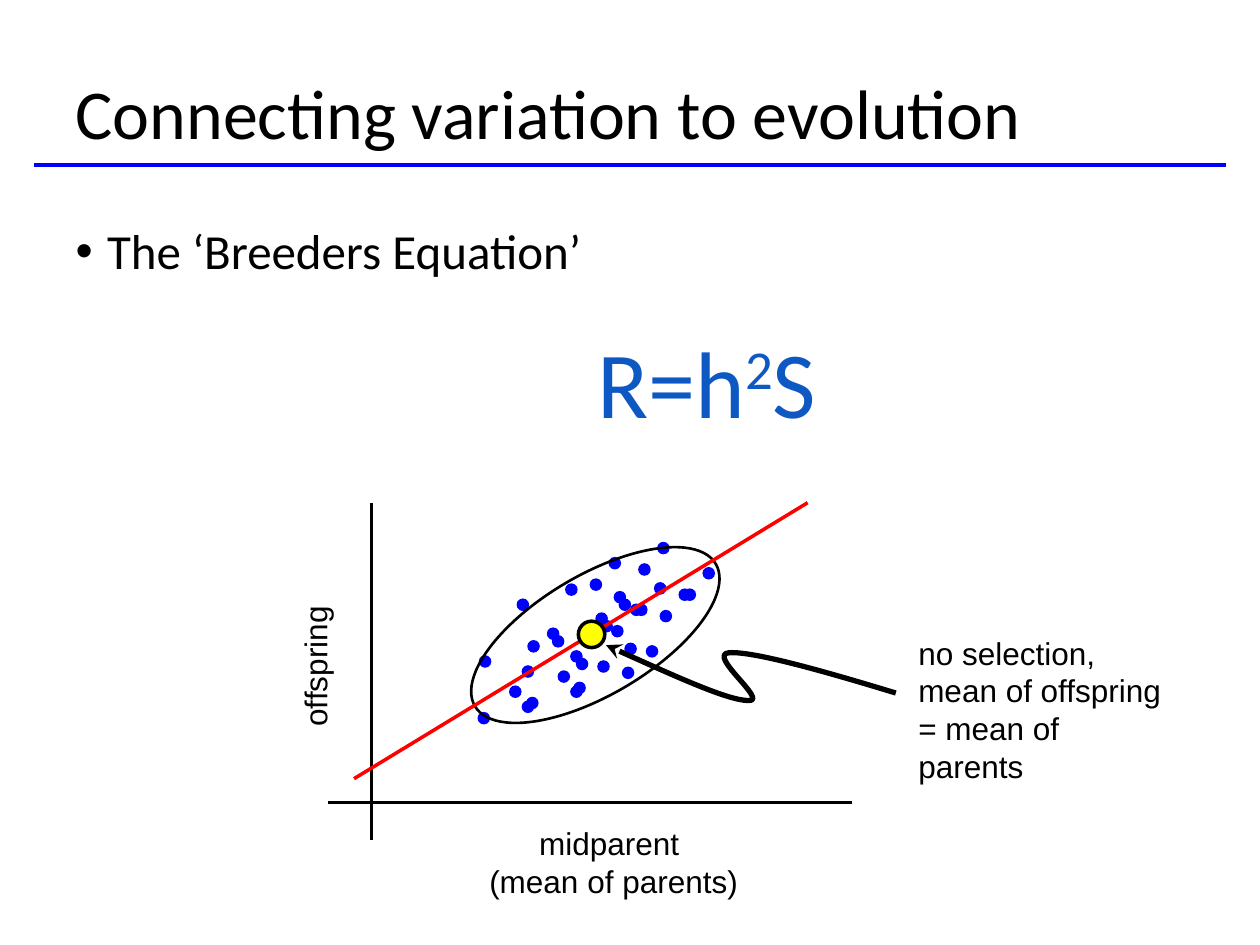
from itertools import product

from lxml.etree import SubElement
from pptx import Presentation
from pptx.dml.color import RGBColor
from pptx.enum.shapes import MSO_CONNECTOR, MSO_SHAPE
from pptx.enum.text import MSO_ANCHOR, MSO_AUTO_SIZE, PP_ALIGN
from pptx.oxml.ns import qn
from pptx.util import Inches, Pt

COLUMNS, ROWS = 100, 75
WIDTH, HEIGHT = Inches(10), Inches(7.5)
BLACK, BLUE, RED, YELLOW, EQUATION_BLUE = "000000", "0000FF", "FF0000", "FFFF00", "0E58C4"
DOT_SIZE = 1
CLUSTER_SHIFTS = [(0, 0), (3.85, -1.2)]
TRIANGLE = [(0, 0), (3.6, 2), (1.7, 3.7)]
TRIANGLE_CORNERS = [(43.8, 50.4), (46.8, 45.9), (48.3, 44.2)]
SCATTERED = [(38, 52), (40.4, 54.4), (37.9, 56.5), (41.4, 55.6),
             (41, 47.5), (43.4, 49.8), (45.7, 52.2), (41.4, 52.8)]
CENTRE_PAIR = [(49.1, 47.5), (48.7, 46.9)]
POINTER = [(48.1, 51.2),
           (53, 53.4), (57.8, 55.6), (59.4, 55.6),
           (61.1, 55.7), (56, 51.9), (57.9, 51.8),
           (59.9, 51.7), (65.5, 53.3), (71.1, 55)]


def column(count):
    return round(WIDTH * count / COLUMNS)


def row(count):
    return round(HEIGHT * count / ROWS)


def box(left, top, width, height):
    return column(left), row(top), column(width), row(height)


def colour(value):
    return RGBColor.from_string(value)


def add_run(paragraph, text, size, font="Arial", ink=BLACK):
    run = paragraph.add_run()
    run.text = text
    run.font.size = Pt(size)
    run.font.name = font
    run.font.color.rgb = colour(ink)
    return run


def fill_placeholder(placeholder, area, text, size):
    placeholder.left, placeholder.top, placeholder.width, placeholder.height = box(*area)
    placeholder.text_frame.auto_size = MSO_AUTO_SIZE.NONE
    paragraph = placeholder.text_frame.paragraphs[0]
    paragraph.alignment = PP_ALIGN.LEFT
    paragraph.line_spacing = 0.9
    add_run(paragraph, text, size, "Calibri")
    return paragraph


def add_bullet(paragraph):
    paragraph.space_before = Pt(10)
    properties = paragraph._p.get_or_add_pPr()
    properties.set("marL", str(Inches(0.25)))
    properties.set("indent", str(Inches(-0.25)))
    SubElement(properties, qn("a:buFont")).set("typeface", "Arial")
    SubElement(properties, qn("a:buChar")).set("char", "•")


def add_line(slide, start, end, ink):
    line = slide.shapes.add_connector(
        MSO_CONNECTOR.STRAIGHT, column(start[0]), row(start[1]), column(end[0]), row(end[1]))
    line.line.color.rgb = colour(ink)
    line.line.width = Pt(2)
    SubElement(line._element.spPr, qn("a:effectLst"))


def add_ellipse(slide, area, fill=None, outline=None, weight=0, rotation=0):
    ellipse = slide.shapes.add_shape(MSO_SHAPE.OVAL, *box(*area))
    ellipse.shadow.inherit = False
    ellipse.rotation = rotation
    if fill:
        ellipse.fill.solid()
        ellipse.fill.fore_color.rgb = colour(fill)
    else:
        ellipse.fill.background()
    if outline:
        ellipse.line.color.rgb = colour(outline)
        ellipse.line.width = Pt(weight)
    else:
        ellipse.line.fill.background()


def add_label(slide, area, lines, alignment=PP_ALIGN.CENTER, rotation=0):
    label = slide.shapes.add_textbox(*box(*area))
    label.rotation = rotation
    frame = label.text_frame
    frame.word_wrap = True
    for index, text in enumerate(lines):
        paragraph = frame.add_paragraph() if index else frame.paragraphs[0]
        paragraph.alignment = alignment
        add_run(paragraph, text, 18)


def add_equation(slide):
    frame = slide.shapes.add_textbox(*box(46.4, 25.2, 21.6, 10.1)).text_frame
    frame.word_wrap = False
    for text, baseline in [("R=h", 0), ("2", 30000), ("S", 0)]:
        run = add_run(frame.paragraphs[0], text, 54, "Calibri", EQUATION_BLUE)
        run._r.get_or_add_rPr().set("baseline", str(baseline))


def add_pointer(slide):
    start, *controls = [(column(x), row(y)) for x, y in POINTER]
    builder = slide.shapes.build_freeform(*start)
    builder.add_line_segments(controls, close=False)
    pointer = builder.convert_to_shape()
    pointer.shadow.inherit = False
    pointer.fill.background()
    pointer.line.color.rgb = colour(BLACK)
    pointer.line.width = Pt(3)
    SubElement(pointer.line._get_or_add_ln(), qn("a:headEnd")).set("type", "stealth")
    outline = next(pointer._element.iter(qn("a:moveTo"))).getparent()
    segments = outline.findall(qn("a:lnTo"))
    for first in range(0, len(segments), 3):
        curve = SubElement(outline, qn("a:cubicBezTo"))
        for segment in segments[first:first + 3]:
            curve.append(segment[0])
            outline.remove(segment)


def add_scatter(slide):
    triangles = [(x + dx, y + dy) for (x, y), (dx, dy) in product(TRIANGLE_CORNERS, TRIANGLE)]
    clusters = [(x + dx, y + dy)
                for (dx, dy), (x, y) in product(CLUSTER_SHIFTS, SCATTERED + triangles)]
    for left, top in clusters + CENTRE_PAIR:
        add_ellipse(slide, (left, top, DOT_SIZE, DOT_SIZE), fill=BLUE)


def main():
    presentation = Presentation()
    presentation.slide_width, presentation.slide_height = WIDTH, HEIGHT
    slide = presentation.slides.add_slide(presentation.slide_layouts[1])
    title, body = slide.placeholders
    fill_placeholder(title, (5, 3, 90, 12.5), "Connecting variation to evolution", 40)
    title.text_frame.vertical_anchor = MSO_ANCHOR.MIDDLE
    add_bullet(fill_placeholder(body, (5, 17.5, 93, 49.5), "The ‘Breeders Equation’", 28))

    add_line(slide, (2.7, 13.1), (97.3, 13.1), BLUE)
    add_line(slide, (29.5, 39.9), (29.5, 66.7), BLACK)
    add_line(slide, (26, 63.7), (67.6, 63.7), BLACK)
    add_label(slide, (35.5, 64.9, 26.4, 7), ["midparent ", "(mean of parents)"])
    add_label(slide, (11.8, 50.9, 26.4, 4), ["offspring"], rotation=270)

    add_scatter(slide)
    add_ellipse(slide, (42.5, 39.3, 9.5, 22.2), outline=BLACK, weight=1.5, rotation=59.4)
    add_line(slide, (28.1, 61.8), (64.1, 39.9), RED)
    add_ellipse(slide, (45.9, 49.3, 2.1, 2.1), fill=YELLOW, outline=BLACK, weight=2)
    add_pointer(slide)
    add_label(slide, (71.9, 49.8, 21.6, 13),
              ["no selection, mean of offspring = mean of parents"], PP_ALIGN.LEFT)
    add_equation(slide)
    presentation.save("out.pptx")


if __name__ == "__main__":
    main()
